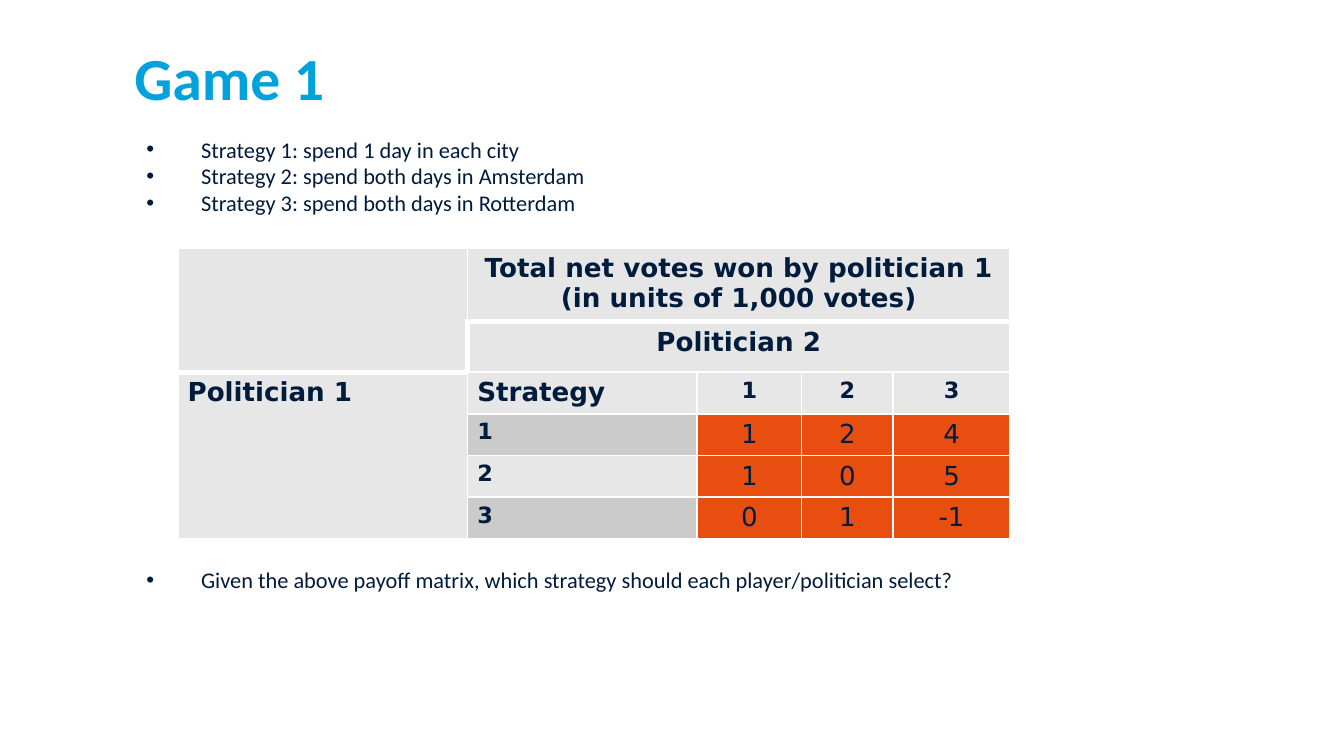
from lxml import etree
from pptx import Presentation
from pptx.dml.color import RGBColor
from pptx.enum.text import MSO_ANCHOR, PP_ALIGN
from pptx.oxml.ns import qn
from pptx.util import Pt

LEFT, CENTER = PP_ALIGN.LEFT, PP_ALIGN.CENTER
TOP, MIDDLE = MSO_ANCHOR.TOP, MSO_ANCHOR.MIDDLE

NAVY, BLUE, WHITE = "001C3D", "00A2DB", "FFFFFF"
HEADING, LIGHT, DARK, ORANGE = "E6E6E6", "E7E7E7", "CBCBCB", "E84E10"
BODY_FONT, TABLE_FONT = "Calibri", "DejaVu Sans"

STRATEGIES = [
    "Strategy 1: spend 1 day in each city",
    "Strategy 2: spend both days in Amsterdam",
    "Strategy 3: spend both days in Rotterdam",
]
QUESTION = ("Given the above payoff matrix, which strategy should each "
            "player/politician select?")
PAYOFFS = [[1, 2, 4], [1, 0, 5], [0, 1, -1]]
COLUMN_WIDTHS = [155.25, 123, 56, 49, 62.75]
ROW_HEIGHTS = [39.5] + [21.75] * 5


def color(value):
    return RGBColor.from_string(value)


def write(frame, text, size=12, font=BODY_FONT, fill=NAVY, bold=False,
          align=LEFT, bullet_indent=None):
    """Fill a text frame, one paragraph for each line of text."""
    for index, line in enumerate(text.split("\n")):
        para = frame.paragraphs[0] if index == 0 else frame.add_paragraph()
        para.alignment = align
        if bullet_indent is not None:
            add_bullet(para, bullet_indent)
        span = para.add_run()
        span.text = line
        span.font.name = font
        span.font.size = Pt(size)
        span.font.bold = bold
        span.font.color.rgb = color(fill)


def add_bullet(para, indent):
    properties = para._p.get_or_add_pPr()
    properties.set("marL", str(Pt(indent)))
    properties.set("indent", str(-Pt(indent)))
    etree.SubElement(properties, qn("a:buFont"), typeface="Arial")
    etree.SubElement(properties, qn("a:buChar"), char="•")


def set_borders(cell, thick_sides):
    properties = cell._tc.get_or_add_tcPr()
    for side in "LRTB":
        width = 3 if side in thick_sides else 1
        line = etree.SubElement(properties, qn("a:ln" + side), w=str(Pt(width)))
        solid = etree.SubElement(line, qn("a:solidFill"))
        etree.SubElement(solid, qn("a:srgbClr"), val=WHITE)


def thick_sides(row, column):
    """Heavy rules lie under the heading and around the blank corner."""
    if column == 0:
        return {1: "B", 2: "T"}.get(row, "")
    if row == 1:
        return "LT" if column == 1 else "T"
    return "B" if row == 0 else ""


class GameSlide:
    def __init__(self, deck):
        self.page = deck.slides.add_slide(deck.slide_layouts[6])

    def text(self, left, top, width, height, text, anchor=TOP, **style):
        box = self.page.shapes.add_textbox(Pt(left), Pt(top), Pt(width), Pt(height))
        frame = box.text_frame
        frame.word_wrap = True
        frame.vertical_anchor = anchor
        frame.margin_left = frame.margin_right = 0
        frame.margin_top = frame.margin_bottom = 0
        write(frame, text, **style)

    def bullets(self, top, height, lines):
        self.text(78.5, top, 492.5, height, "\n".join(lines), bullet_indent=29.25)

    def table(self, left, top, widths, heights):
        table = self.page.shapes.add_table(
            len(heights), len(widths), Pt(left), Pt(top),
            Pt(sum(widths)), Pt(sum(heights))).table
        for column, width in zip(table.columns, widths):
            column.width = Pt(width)
        for row, height in zip(table.rows, heights):
            row.height = Pt(height)
        return table

    def cell(self, table, row, column, text, fill, **style):
        cell = table.cell(row, column)
        cell.margin_left = cell.margin_right = Pt(5.25)
        cell.margin_top = cell.margin_bottom = Pt(2.75)
        set_borders(cell, thick_sides(row, column))
        cell.fill.solid()
        cell.fill.fore_color.rgb = color(fill)
        write(cell.text_frame, text, font=TABLE_FONT, **style)

    def payoff_matrix(self):
        table = self.table(95.25, 132.75, COLUMN_WIDTHS, ROW_HEIGHTS)
        headings = {
            (0, 1): "Total net votes won by politician 1\n(in units of 1,000 votes)",
            (1, 1): "Politician 2",
            (2, 0): "Politician 1",
            (2, 1): "Strategy",
        }
        for row in range(len(ROW_HEIGHTS)):
            for column in range(len(COLUMN_WIDTHS)):
                text = headings.get((row, column), "")
                fill = HEADING if row < 2 else LIGHT
                size, bold = 14, True
                align = CENTER if row < 2 or column > 1 else LEFT
                if row == 2 and column > 1:
                    text, size = str(column - 1), 12
                elif row > 2 and column == 1:
                    text, size = str(row - 2), 12
                    fill = DARK if row % 2 else LIGHT
                elif row > 2 and column > 1:
                    text, bold = str(PAYOFFS[row - 3][column - 2]), False
                    fill = ORANGE
                self.cell(table, row, column, text, fill,
                          size=size, bold=bold, align=align)
        for first, last in [((0, 0), (1, 0)), ((0, 1), (0, 4)),
                            ((1, 1), (1, 4)), ((2, 0), (5, 0))]:
            table.cell(*first).merge(table.cell(*last))


def main():
    deck = Presentation()
    deck.slide_width, deck.slide_height = Pt(720), Pt(405)
    slide = GameSlide(deck)
    slide.text(72, 18.75, 492.5, 44.5, "Game 1", anchor=MIDDLE,
               size=32, fill=BLUE, bold=True)
    slide.bullets(72.75, 45, STRATEGIES)
    slide.payoff_matrix()
    slide.bullets(303.5, 40, [QUESTION])
    deck.save("out.pptx")


if __name__ == "__main__":
    main()
